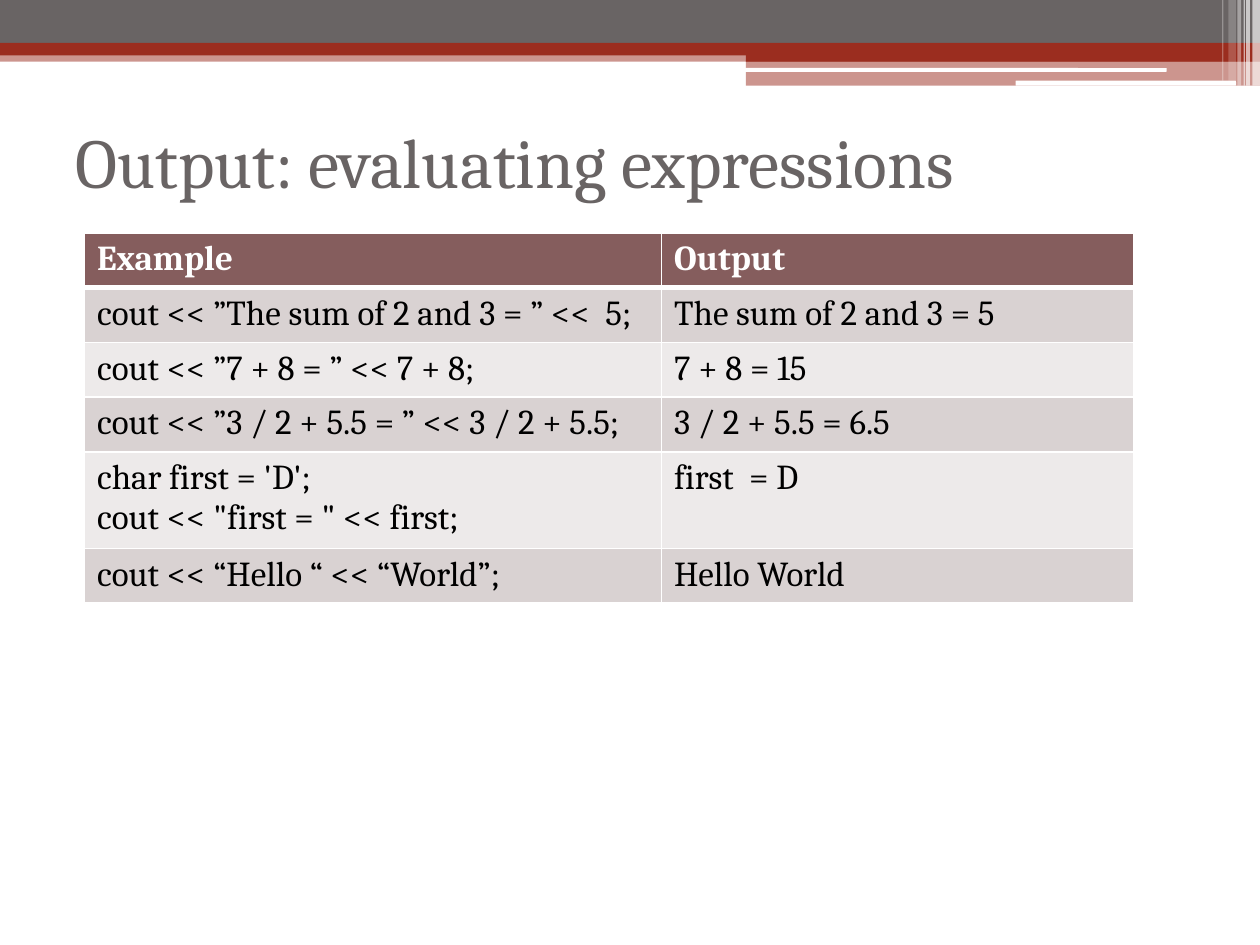
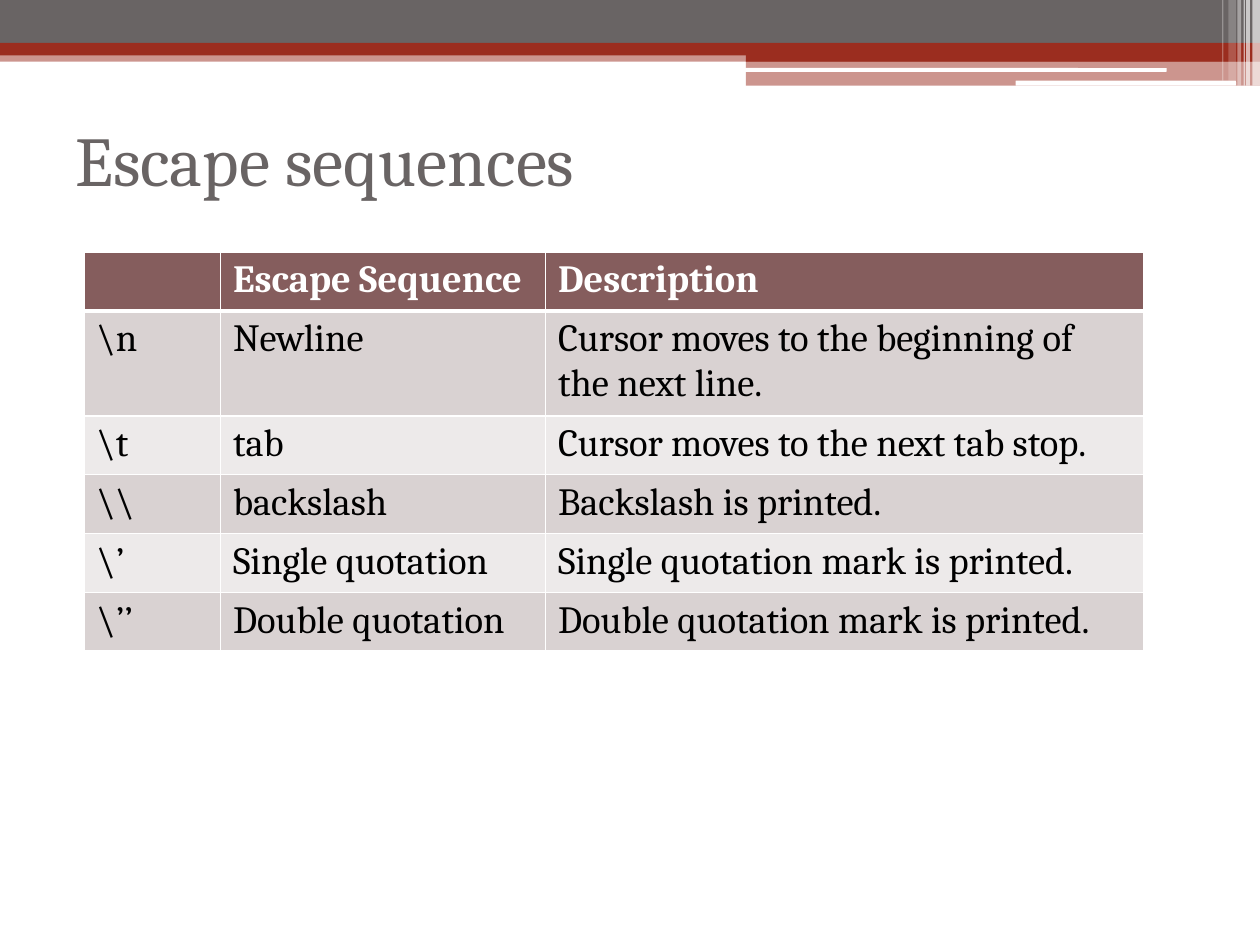
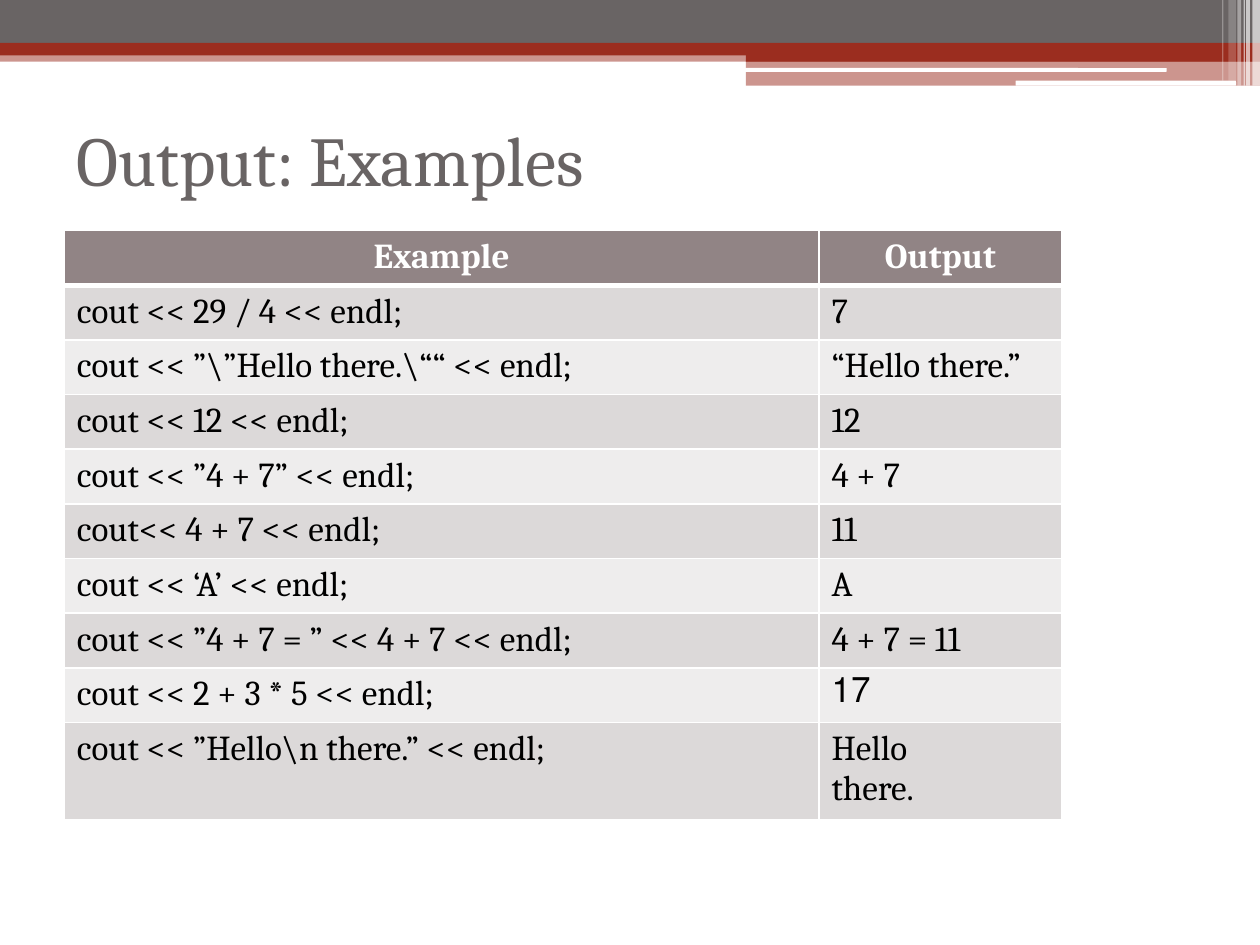
from dataclasses import dataclass

from lxml.etree import SubElement
from pptx import Presentation
from pptx.dml.color import RGBColor
from pptx.enum.shapes import MSO_SHAPE as Preset
from pptx.enum.text import MSO_ANCHOR as Anchor, PP_ALIGN as Align
from pptx.oxml.ns import qn
from pptx.util import Inches, Pt

FONT = "Cambria"
WHITE = RGBColor(0xFF, 0xFF, 0xFF)
BLACK = RGBColor(0x00, 0x00, 0x00)
GRAY = RGBColor(0x69, 0x64, 0x64)
RED = RGBColor(0x9B, 0x2D, 0x1F)
MAROON = RGBColor(0x85, 0x5D, 0x5D)
MAROON_MID = RGBColor(0xD9, 0xD2, 0xD2)
MAROON_LIGHT = RGBColor(0xED, 0xEA, 0xEA)
TAUPE = RGBColor(0x91, 0x84, 0x85)
TAUPE_MID = RGBColor(0xDC, 0xD9, 0xD9)
TAUPE_LIGHT = RGBColor(0xEE, 0xED, 0xED)
ROW_HEIGHT = 0.41


@dataclass(frozen=True)
class Band:
    """A decorative bar at the top of every slide."""
    left: float
    top: float
    width: float
    height: float
    color: RGBColor
    opacity: int = 100
    rounded: bool = False


@dataclass(frozen=True)
class Palette:
    """Fills of the header row and the alternating body rows."""
    header: RGBColor
    odd: RGBColor
    even: RGBColor


@dataclass(frozen=True)
class TableSlide:
    """A title and the table beneath it."""
    title: str
    title_left: float
    title_top: float
    left: float
    top: float
    columns: tuple
    size: int
    palette: Palette
    rows: tuple
    header_align: Align = Align.LEFT
    right_to_left: tuple = ()


BANDS = (
    Band(0, 0.4, 10, 0.09, RED, 50),
    Band(0, 0, 10, 0.34, GRAY),
    Band(0, 0.34, 10, 0.1, RED),
    Band(5.92, 0.39, 4.08, 0.1, RED),
    Band(5.92, 0.48, 4.08, 0.2, RED, 50),
    Band(5.91, 0.54, 3.35, 0.03, WHITE, rounded=True),
    Band(8.06, 0.64, 1.75, 0.04, WHITE, rounded=True),
    Band(9.94, 0, 0.06, 0.68, WHITE, 65),
    Band(9.89, 0, 0.03, 0.68, WHITE, 65),
    Band(9.87, 0, 0.01, 0.68, WHITE, 60),
    Band(9.82, 0, 0.03, 0.68, WHITE, 40),
    Band(9.75, 0, 0.06, 0.64, WHITE, 20),
    Band(9.7, 0, 0.01, 0.64, WHITE, 30),
)

MAROON_PALETTE = Palette(MAROON, MAROON_MID, MAROON_LIGHT)
TAUPE_PALETTE = Palette(TAUPE, TAUPE_MID, TAUPE_LIGHT)

SLIDES = (
    TableSlide(
        "Output: evaluating expressions", 0.5, 0.69, 0.67, 1.85,
        (4.58, 3.75), 20, MAROON_PALETTE,
        (
            ("Example", "Output"),
            ("cout << ”The sum of 2 and 3 = ” <<  5;", "The sum of 2 and 3 = 5"),
            ("cout << ”7 + 8 = ” << 7 + 8;", "7 + 8 = 15"),
            ("cout << ”3 / 2 + 5.5 = ” << 3 / 2 + 5.5;", "3 / 2 + 5.5 = 6.5"),
            ("""char first = 'D';
cout << "first = " << first;""", "first  = D"),
            ("cout << “Hello “ << “World”;", "Hello World"),
        ),
    ),
    TableSlide(
        "Escape sequences", 0.5, 0.67, 0.67, 2,
        (1.08, 2.58, 4.75), 22, MAROON_PALETTE,
        (
            ("", "Escape Sequence", "Description"),
            (r"\n", "Newline", "Cursor moves to the beginning of the next line."),
            (r"\t", "tab", "Cursor moves to the next tab stop."),
            (r"\\", "backslash", "Backslash is printed."),
            (r"\’", "Single quotation", "Single quotation mark is printed."),
            (r"\’’", "Double quotation", "Double quotation mark is printed."),
        ),
    ),
    TableSlide(
        "Output: Examples", 0.51, 0.67, 0.51, 1.83,
        (5.99, 1.93), 20, TAUPE_PALETTE,
        (
            ("Example", "Output"),
            ("cout << 29 / 4 << endl;", "7"),
            (r"cout << ”\”Hello there.\““ << endl;", "“Hello there.”"),
            ("cout << 12 << endl;", "12"),
            ("cout << ”4 + 7” << endl;", "4 + 7"),
            ("cout<< 4 + 7 << endl;", "11"),
            ("cout << ‘A’ << endl;", "A"),
            ("cout << ”4 + 7 = ” << 4 + 7 << endl;", "4 + 7 = 11"),
            ("cout << 2 + 3 * 5 << endl;", "17"),
            (r"cout << ”Hello\n there.” << endl;", ("Hello", "there.")),
        ),
        Align.CENTER,
        ("17",),
    ),
)


def write_paragraph(paragraph, text: str, color: RGBColor, **formats) -> None:
    """Fill a paragraph and format its runs."""
    paragraph.text = text
    for run in paragraph.runs:
        run.font.color.rgb = color
        for name, value in {"name": FONT, **formats}.items():
            setattr(run.font, name, value)


def draw_band(slide, band: Band) -> None:
    """Draw one bar without outline or shadow."""
    preset = Preset.ROUNDED_RECTANGLE if band.rounded else Preset.RECTANGLE
    box = map(Inches, (band.left, band.top, band.width, band.height))
    shape = slide.shapes.add_shape(preset, *box)
    shape.shadow.inherit = False
    shape.line.fill.background()
    shape.fill.solid()
    shape.fill.fore_color.rgb = band.color
    if band.opacity < 100:
        color = shape.fill._xPr.find(f".//{qn('a:srgbClr')}")
        SubElement(color, qn("a:alpha"), val=str(band.opacity * 1000))


def draw_title(slide, content: TableSlide) -> None:
    """Write the slide title."""
    box = map(Inches, (content.title_left, content.title_top, 9, 1.17))
    frame = slide.shapes.add_textbox(*box).text_frame
    frame.word_wrap = True
    frame.vertical_anchor = Anchor.MIDDLE
    write_paragraph(frame.paragraphs[0], content.title, GRAY, size=Pt(40))


def draw_borders(cell, row_index: int) -> None:
    """Give a cell white borders, thick beneath the header row."""
    properties = cell._tc.get_or_add_tcPr()
    widths = {"L": 1, "R": 1, "T": 3 if row_index == 1 else 1, "B": 3 if row_index == 0 else 1}
    for side, width in widths.items():
        line = SubElement(properties, qn(f"a:ln{side}"), w=str(Pt(width)))
        fill = SubElement(line, qn("a:solidFill"))
        SubElement(fill, qn("a:srgbClr"), val=str(WHITE))


def draw_cell(cell, value: str | tuple, row_index: int, content: TableSlide) -> None:
    """Write and colour one table cell."""
    is_header = row_index == 0
    palette = content.palette
    draw_borders(cell, row_index)
    cell.fill.solid()
    body_fill = palette.odd if row_index % 2 else palette.even
    cell.fill.fore_color.rgb = palette.header if is_header else body_fill
    frame = cell.text_frame
    for index, text in enumerate((value,) if isinstance(value, str) else value):
        paragraph = frame.add_paragraph() if index else frame.paragraphs[0]
        paragraph.alignment = content.header_align if is_header else Align.LEFT
        if text in content.right_to_left:
            paragraph._p.get_or_add_pPr().set("rtl", "1")
        color = WHITE if is_header else BLACK
        write_paragraph(paragraph, text, color, size=Pt(content.size), bold=is_header)


def draw_table(slide, content: TableSlide) -> None:
    """Draw the table of a slide."""
    row_count = len(content.rows)
    box = map(Inches, (content.left, content.top, sum(content.columns), ROW_HEIGHT * row_count))
    table = slide.shapes.add_table(row_count, len(content.columns), *box).table
    for column, width in zip(table.columns, content.columns):
        column.width = Inches(width)
    for row_index, values in enumerate(content.rows):
        for cell, value in zip(table.rows[row_index].cells, values):
            draw_cell(cell, value, row_index, content)


def main() -> None:
    """Build and save the presentation."""
    presentation = Presentation()
    presentation.slide_width = Inches(10)
    presentation.slide_height = Inches(7.5)
    for content in SLIDES:
        slide = presentation.slides.add_slide(presentation.slide_layouts[6])
        for band in BANDS:
            draw_band(slide, band)
        draw_title(slide, content)
        draw_table(slide, content)
    presentation.save("out.pptx")


if __name__ == "__main__":
    main()
